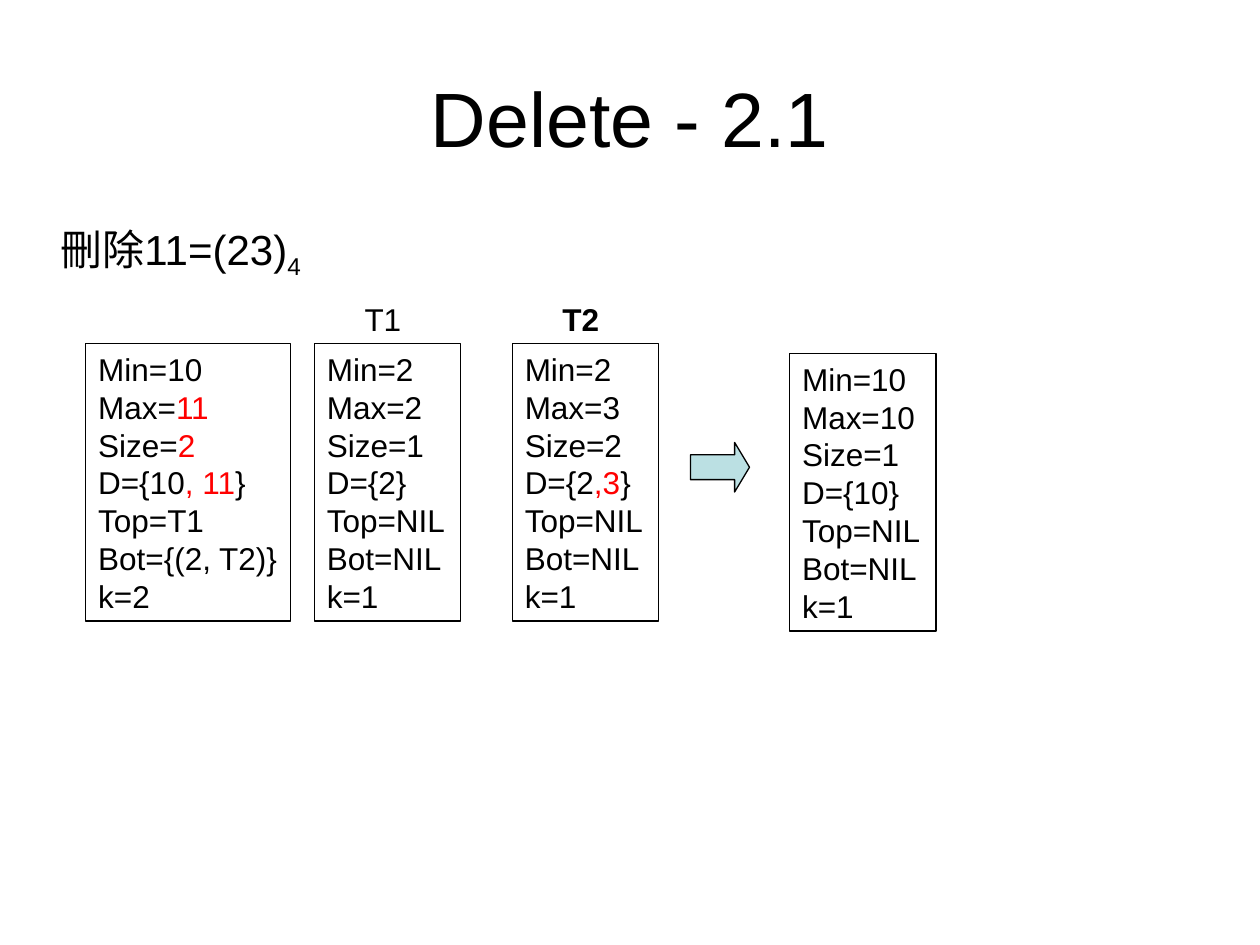
import pptx
import pptx.util
import pptx.dml.color
import pptx.enum.shapes
import pptx.enum.text

Cm = pptx.util.Cm
Pt = pptx.util.Pt


def rgb(code):
    return pptx.dml.color.RGBColor.from_string(code)


class Deck:
    """Holds the style and the current slide, and draws each kind of element."""

    font = "Arial"
    ink = "000000"
    accent = "FF0000"
    arrow_fill = "BBE0E3"
    line_width = 0.75

    def __init__(self, width, height):
        self.prs = pptx.Presentation()
        self.prs.slide_width = Cm(width)
        self.prs.slide_height = Cm(height)
        self.s = self.prs.slides.add_slide(self.prs.slide_layouts[6])

    def style(self, r, size, color, bold=False):
        r.font.name = self.font
        r.font.size = Pt(size)
        r.font.bold = bold
        r.font.color.rgb = rgb(color)

    def outline(self, sp):
        sp.line.color.rgb = rgb(self.ink)
        sp.line.width = Pt(self.line_width)

    def text(self, x, y, w, h, text, size=18, bold=False, wrap=False):
        sp = self.s.shapes.add_textbox(Cm(x), Cm(y), Cm(w), Cm(h))
        tf = sp.text_frame
        tf.text = text
        tf.word_wrap = wrap
        for p in tf.paragraphs:
            for r in p.runs:
                self.style(r, size, self.ink, bold)
        return sp

    def title(self, text):
        sp = self.text(1.27, 0.76, 22.86, 3.18, text, size=44, wrap=True)
        sp.text_frame.vertical_anchor = pptx.enum.text.MSO_ANCHOR.MIDDLE
        sp.text_frame.paragraphs[0].alignment = pptx.enum.text.PP_ALIGN.CENTER

    def heading(self, x, y, w, h, text, subscript):
        sp = self.text(x, y, w, h, text, size=24)
        r = sp.text_frame.paragraphs[0].add_run()
        r.text = subscript
        self.style(r, 24, self.ink)
        r._r.get_or_add_rPr().set("baseline", "-25000")

    def record(self, x, y, w, fields):
        sp = self.text(x, y, w, 5.59, "\n".join(fields))
        self.outline(sp)
        for p, field in zip(sp.text_frame.paragraphs, fields):
            if "|" not in field:
                continue
            p.text = ""
            for i, part in enumerate(field.split("|")):
                if part:
                    r = p.add_run()
                    r.text = part
                    self.style(r, 18, self.accent if i % 2 else self.ink)

    def arrow(self, x, y, w, h):
        kind = pptx.enum.shapes.MSO_SHAPE.RIGHT_ARROW
        sp = self.s.shapes.add_shape(kind, Cm(x), Cm(y), Cm(w), Cm(h))
        sp.shadow.inherit = False
        sp.adjustments[1] = 0.3
        sp.fill.solid()
        sp.fill.fore_color.rgb = rgb(self.arrow_fill)
        self.outline(sp)


def main():
    deck = Deck(25.4, 19.05)
    deck.title("Delete - 2.1")
    deck.heading(0.97, 4.38, 5.7, 1.42, "刪除11=(23)", "4")

    leaf = ["Top=NIL", "Bot=NIL", "k=1"]
    top, leaf_width = 6.93, 2.95
    deck.record(1.73, top, 4.13, [
        "Min=10", "Max=|11|", "Size=|2|", "D={10|, 11|}",
        "Top=T1", "Bot={(2, T2)}", "k=2"])
    children = [
        (6.34, "T1", False, ["Min=2", "Max=2", "Size=1", "D={2}"]),
        (10.33, "T2", True, ["Min=2", "Max=3", "Size=2", "D={2|,3|}"]),
    ]
    for x, name, bold, fields in children:
        deck.text(x + 0.76, top - 1.01, 1.4, 1.02, name, bold=bold)
        deck.record(x, top, leaf_width, fields + leaf)

    deck.arrow(13.92, 8.92, 1.19, 1)
    deck.record(15.92, 7.13, leaf_width,
                ["Min=10", "Max=10", "Size=1", "D={10}"] + leaf)
    deck.prs.save("out.pptx")


if __name__ == "__main__":
    main()
